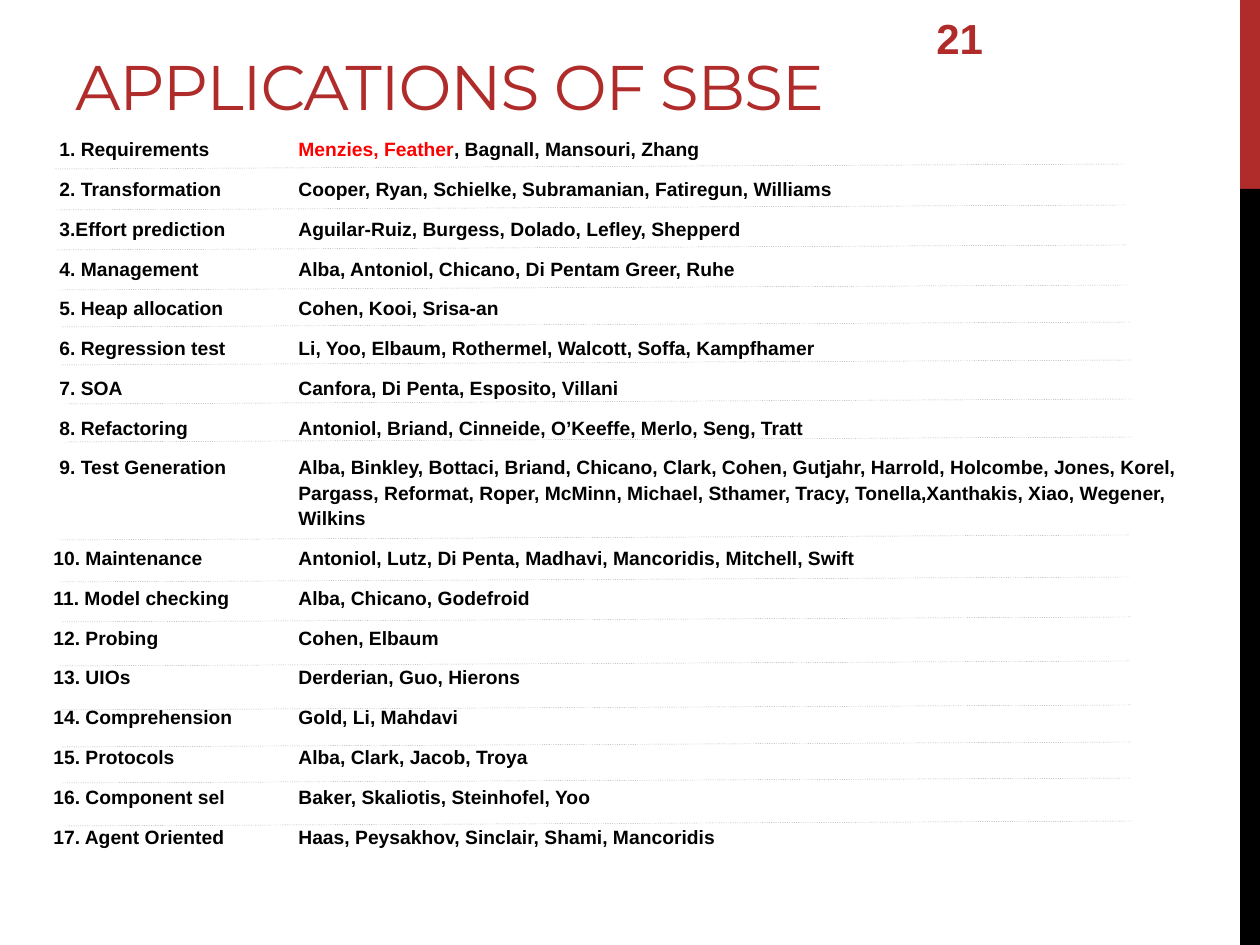
import pptx
import pptx.dml.color
import pptx.enum.shapes
import pptx.enum.text
import pptx.oxml.ns
import pptx.util
from lxml import etree

RED = pptx.dml.color.RGBColor(0xB0, 0x2C, 0x2B)
BRIGHT_RED = pptx.dml.color.RGBColor(0xFF, 0x00, 0x00)
BLACK = pptx.dml.color.RGBColor(0x00, 0x00, 0x00)
GRAY = pptx.dml.color.RGBColor(0x7A, 0x7A, 0x7A)
EMU_PER_PX = 914400 / 126
NAME_TAB = 245
DIGIT_SHIFT = 6
RULE_WIDTH, RULE_RISE = 1069, 5

APPLICATIONS = [
    ("1. Requirements", "Menzies, Feather", ", Bagnall, Mansouri, Zhang"),
    ("2. Transformation", "", "Cooper, Ryan, Schielke, Subramanian, Fatiregun, Williams"),
    ("3.Effort prediction", "", "Aguilar-Ruiz, Burgess, Dolado, Lefley, Shepperd"),
    ("4. Management", "", "Alba, Antoniol, Chicano, Di Pentam Greer, Ruhe"),
    ("5. Heap allocation", "", "Cohen, Kooi, Srisa-an"),
    ("6. Regression test", "", "Li, Yoo, Elbaum, Rothermel, Walcott, Soffa, Kampfhamer"),
    ("7. SOA", "", "Canfora, Di Penta, Esposito, Villani"),
    ("8. Refactoring", "", "Antoniol, Briand, Cinneide, O’Keeffe, Merlo, Seng, Tratt"),
    ("9. Test Generation", "",
     "Alba, Binkley, Bottaci, Briand, Chicano, Clark, Cohen, Gutjahr, Harrold, "
     "Holcombe, Jones, Korel, Pargass, Reformat, Roper, McMinn, Michael, Sthamer, "
     "Tracy, Tonella,Xanthakis, Xiao, Wegener, Wilkins"),
    ("10. Maintenance", "", "Antoniol, Lutz, Di Penta, Madhavi, Mancoridis, Mitchell, Swift"),
    ("11. Model checking", "", "Alba, Chicano, Godefroid"),
    ("12. Probing", "", "Cohen, Elbaum"),
    ("13. UIOs", "", "Derderian, Guo, Hierons"),
    ("14. Comprehension", "", "Gold, Li, Mahdavi"),
    ("15. Protocols", "", "Alba, Clark, Jacob, Troya"),
    ("16. Component sel", "", "Baker, Skaliotis, Steinhofel, Yoo"),
    ("17. Agent Oriented", "", "Haas, Peysakhov, Sinclair, Shami, Mancoridis"),
]

RULE_STARTS = [
    (55, 169), (57, 210), (57, 250), (60, 290), (62, 327), (62, 365),
    (64, 404), (64, 442), (60, 540), (60, 582), (62, 622), (60, 666),
    (62, 710), (62, 747), (62, 783), (64, 826),
]


def px(value):
    return pptx.util.Emu(round(value * EMU_PER_PX))


def add_text(p, text, size=11, color=BLACK, bold=True, font="Arial", spacing=None):
    r = p.add_run()
    r.text = text
    r.font.size = pptx.util.Pt(size)
    r.font.name = font
    r.font.bold = bold
    r.font.color.rgb = color
    if spacing is not None:
        r.font._element.set("spc", str(spacing))


class SlideBuilder:
    """Draws the elements of one slide in its shared style."""

    def __init__(self, s):
        self.s = s

    def bar(self, x, y, w, h, color):
        sp = self.s.shapes.add_shape(
            pptx.enum.shapes.MSO_SHAPE.RECTANGLE, px(x), px(y), px(w), px(h))
        sp.shadow.inherit = False
        sp.fill.solid()
        sp.fill.fore_color.rgb = color
        sp.line.fill.background()

    def text_box(self, x, y, w, h, anchor):
        tf = self.s.shapes.add_textbox(px(x), px(y), px(w), px(h)).text_frame
        tf.word_wrap = True
        tf.vertical_anchor = anchor
        return tf

    def label(self, x, y, w, h, anchor, text, **style):
        tf = self.text_box(x, y, w, h, anchor)
        add_text(tf.paragraphs[0], text, **style)

    def listing(self, x, y, w, h, rows):
        tf = self.text_box(x, y, w, h, pptx.enum.text.MSO_ANCHOR.TOP)
        for i, (topic, highlighted, names) in enumerate(rows):
            p = tf.paragraphs[0] if i == 0 else tf.add_paragraph()
            shift = DIGIT_SHIFT if topic[1] == "." else 0
            p_pr = p._p.get_or_add_pPr()
            p_pr.set("marL", str(px(NAME_TAB)))
            p_pr.set("indent", str(px(shift - NAME_TAB)))
            tabs = etree.SubElement(p_pr, pptx.oxml.ns.qn("a:tabLst"))
            etree.SubElement(tabs, pptx.oxml.ns.qn("a:tab"), pos=str(px(NAME_TAB)), algn="l")
            p.line_spacing = 1.1
            p.space_before = pptx.util.Pt(2.2 if i else 0)
            p.space_after = pptx.util.Pt(6)
            add_text(p, topic + "\t")
            if highlighted:
                add_text(p, highlighted, color=BRIGHT_RED)
            add_text(p, names)

    def rule(self, x, y):
        line = self.s.shapes.add_connector(
            pptx.enum.shapes.MSO_CONNECTOR.STRAIGHT,
            px(x), px(y), px(x + RULE_WIDTH), px(y - RULE_RISE))
        line.line.color.rgb = GRAY
        line.line.width = pptx.util.Pt(0.25)
        sp_pr = line._element.spPr
        etree.SubElement(sp_pr.find(pptx.oxml.ns.qn("a:ln")),
                         pptx.oxml.ns.qn("a:prstDash"), val="dot")
        etree.SubElement(sp_pr, pptx.oxml.ns.qn("a:effectLst"))


def main():
    prs = pptx.Presentation()
    prs.slide_width, prs.slide_height = px(1260), px(945)
    slide = SlideBuilder(prs.slides.add_slide(prs.slide_layouts[6]))
    anchors = pptx.enum.text.MSO_ANCHOR
    slide.bar(1240, 0, 20, 189, RED)
    slide.bar(1240, 189, 20, 756, BLACK)
    slide.label(63, 0, 1036, 129, anchors.BOTTOM, "APPLICATIONS OF SBSE",
                size=36, color=RED, bold=False, font="Montserrat", spacing=-60)
    slide.listing(41, 129, 1172, 689, APPLICATIONS)
    slide.label(924, 13, 294, 50, anchors.MIDDLE, "21", size=24, color=RED)
    for x, y in RULE_STARTS:
        slide.rule(x, y)
    prs.save("out.pptx")


if __name__ == "__main__":
    main()
